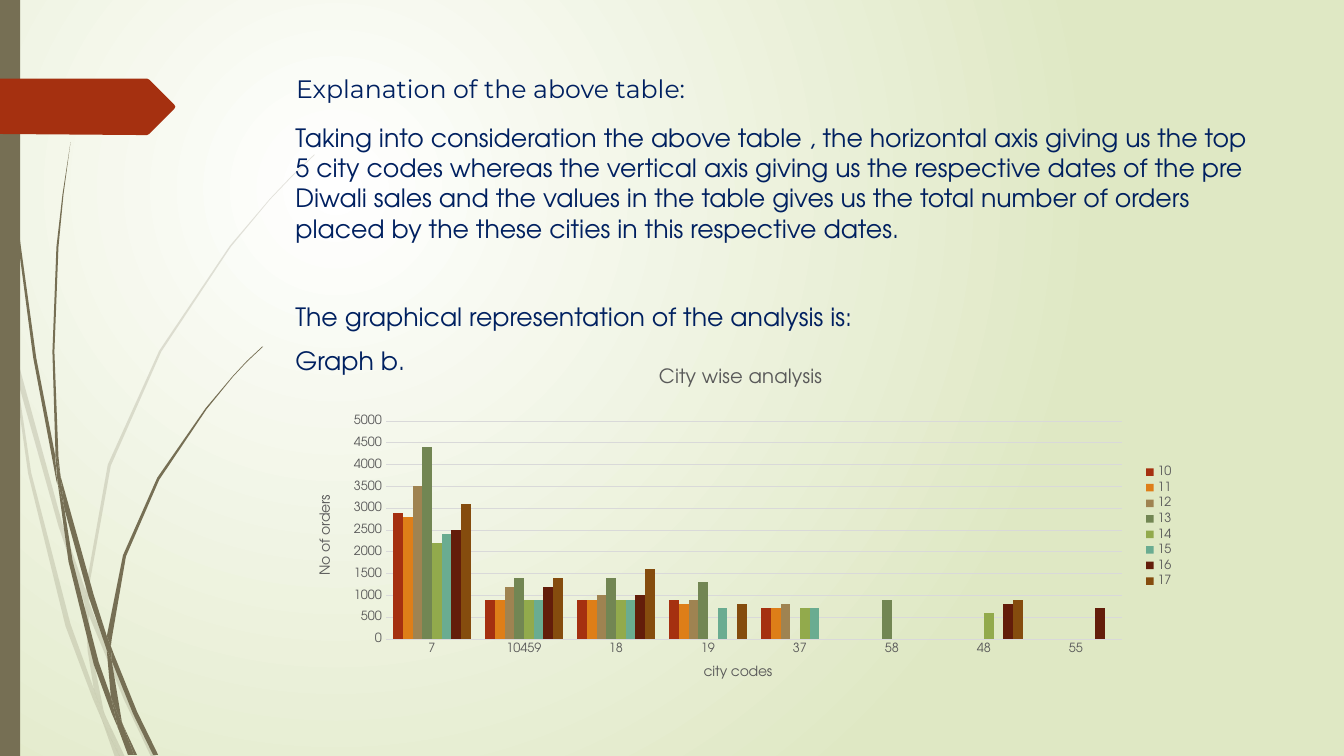
from lxml.etree import SubElement
from pptx import Presentation
from pptx.chart.data import CategoryChartData
from pptx.dml.color import RGBColor
from pptx.enum.chart import XL_CHART_TYPE, XL_LEGEND_POSITION, XL_TICK_MARK
from pptx.enum.shapes import MSO_SHAPE
from pptx.enum.text import MSO_ANCHOR, MSO_AUTO_SIZE, PP_ALIGN
from pptx.oxml import parse_xml
from pptx.oxml.ns import nsdecls, qn
from pptx.util import Cm, Pt

NAVY, TAUPE, RUST, GRAY = "002060", "766F54", "A53010", "595959"
SANS, HEAD = "TeX Gyre Adventor", "Montserrat"

TITLE = "Explanation of the above table:"
BODY = [
    ("Taking into consideration the above table , the horizontal axis giving us the top "
     "5 city codes whereas the vertical axis giving us the respective dates of the pre "
     "Diwali sales and the values in the table gives us the total number of orders "
     "placed by the these cities in this respective dates.", 10),
    ("The graphical representation of the analysis is:", 41.6),
    ("Graph b.", 10),
]

CITIES = ["7", "10459", "18", "19", "37", "58", "48", "55"]
ORDERS = [
    ("10", "A53010", [2900, 900, 900, 900, 700, None, None, None]),
    ("11", "DE7E18", [2800, 900, 900, 800, 700, None, None, None]),
    ("12", "9F8351", [3500, 1200, 1000, 900, 800, None, None, None]),
    ("13", "728653", [4400, 1400, 1400, 1300, None, 900, None, None]),
    ("14", "92AA4C", [2200, 900, 900, None, 700, None, 600, None]),
    ("15", "6AAC91", [2400, 900, 900, 700, 700, None, None, None]),
    ("16", "631D0A", [2500, 1200, 1000, None, None, None, 800, 700]),
    ("17", "854C0E", [3100, 1400, 1600, 800, None, None, 900, None]),
]

UNIT = Cm(0.0254)
PALE = [
    (11, 350, 9, 322, 0, 282, 0, 299, 10, 344),
    (58, 522, 84, 599, 85, 586, 62, 520, 14, 345, 17, 376),
    (92, 607, 88, 596, 88, 610, 123, 694, 150, 751, 155, 751, 127, 692),
    (119, 751, 124, 751, 105, 711),
    (93, 683, 70, 619, 31, 469, 17, 376, 11, 350, 28, 470, 65, 621, 92, 693, 101, 714,
     99, 707),
    (84, 599, 87, 646, 93, 683, 96, 692, 105, 711, 103, 706, 91, 646, 88, 610, 88, 608),
    (88, 584, 110, 462, 160, 349, 229, 245, 268, 198, 290, 175, 312, 154, 312, 153,
     289, 175, 268, 197, 228, 244, 158, 348, 107, 461, 85, 584, 85, 586, 88, 596),
    (101, 714, 114, 751, 119, 751),
    (88, 608, 88, 610, 88, 596, 85, 586, 84, 599),
    (96, 692, 93, 683, 99, 707, 101, 714, 119, 751, 105, 711),
]
DARK = [
    (7, 110, 17, 233, 33, 355, 56, 477, 57, 481, 55, 457, 55, 453, 36, 355, 19, 232,
     8, 109, 5, 48, 4, 0, 3, 0, 4, 48),
    (88, 592, 106, 645, 106, 633, 106, 631, 93, 590, 60, 472, 64, 505),
    (113, 649, 110, 641, 111, 656, 132, 708, 152, 749, 157, 749, 136, 706),
    (110, 691, 98, 657, 72, 556, 64, 505, 57, 477, 68, 557, 93, 659, 111, 708, 117, 722,
     116, 717),
    (60, 472, 58, 453, 54, 349, 58, 245, 63, 193, 70, 141, 62, 193, 56, 245, 52, 349,
     55, 449),
    (133, 749, 136, 749, 122, 719),
    (57, 477, 64, 505, 60, 472, 55, 449, 55, 453),
    (111, 633, 125, 552, 158, 476, 205, 406, 231, 374, 245, 359, 261, 344, 260, 344,
     245, 358, 231, 373, 204, 405, 156, 474, 122, 551, 106, 631, 110, 641),
    (117, 722, 127, 749, 131, 749),
    (106, 645, 110, 691, 116, 706, 122, 719, 121, 716, 111, 656, 109, 651),
    (106, 645, 109, 651, 111, 656, 110, 641, 106, 631, 106, 633),
    (116, 706, 110, 691, 116, 717, 117, 722, 130, 749, 133, 749, 122, 719),
]
TAG = (173, 108, 148, 133, 146, 134, 136, 134, 0, 133, 0, 78, 146, 78, 148, 79, 173, 104,
       174, 106)


def rgb(hue):
    return RGBColor.from_string(hue)


def place(item, left, top, width, height):
    item.left, item.top, item.width, item.height = map(Cm, (left, top, width, height))


def style(font, size, hue, face=SANS):
    font.size, font.name, font.bold = Pt(size), face, False
    font.color.rgb = rgb(hue)


def paint(shape, hue, alpha=None):
    shape.shadow.inherit = False
    shape.line.fill.background()
    shape.fill.solid()
    shape.fill.fore_color.rgb = rgb(hue)
    if alpha:
        tone = shape.element.spPr.find(qn("a:solidFill"))[0]
        SubElement(tone, qn("a:alpha"), val=str(alpha * 1000))


def trace(shapes, flat, hue, alpha=None):
    pts = list(zip(flat[::2], flat[1::2]))
    pen = shapes.build_freeform(*pts[0], scale=UNIT)
    pen.add_line_segments(pts[1:], close=True)
    paint(pen.convert_to_shape(), hue, alpha)


def backdrop(slide):
    fill = slide.background.fill
    fill.gradient()
    for stop, hue in zip(fill.gradient_stops, ("FFFFFF", "DFE8C4")):
        stop.color.rgb = rgb(hue)
    lin = slide.element.xpath(".//p:bg//a:lin")[0]
    lin.getparent().replace(lin, parse_xml(
        f'<a:path {nsdecls("a")} path="circle">'
        '<a:fillToRect l="50000" t="50000" r="100000" b="100000"/></a:path>'))


def decor(shapes):
    for strands, alpha in ((PALE, 20), (DARK, None)):
        group = shapes.add_group_shape()
        for flat in strands:
            trace(group.shapes, flat, TAUPE, alpha)
    bar = shapes.add_shape(MSO_SHAPE.RECTANGLE, 0, 0, Cm(0.51), Cm(19.05))
    paint(bar, TAUPE)
    trace(shapes, TAG, RUST)


def write(holder, lines, face):
    frame = holder.text_frame
    frame.word_wrap = True
    frame.auto_size = MSO_AUTO_SIZE.NONE
    frame.vertical_anchor = MSO_ANCHOR.TOP
    frame.text = "\n".join(text for text, gap in lines)
    for para, (text, gap) in zip(frame.paragraphs, lines):
        para.alignment = PP_ALIGN.LEFT
        para.space_before = Pt(gap)
        style(para.font, 18, NAVY, face)
        props = para._p.get_or_add_pPr()
        props.set("marL", "0")
        props.set("indent", "0")
        SubElement(props, qn("a:buNone"))
        props.insert_element_before(props.find(qn("a:buNone")), "a:defRPr")


def label(title, text, size):
    title.text_frame.text = text
    style(title.text_frame.paragraphs[0].font, size, GRAY)


def clear():
    return parse_xml(f'<c:spPr {nsdecls("c", "a")}><a:noFill/><a:ln><a:noFill/></a:ln></c:spPr>')


def graph(shapes):
    data = CategoryChartData()
    data.categories = CITIES
    for name, hue, vals in ORDERS:
        data.add_series(name, vals)
    area = map(Cm, (7.49, 8.84, 22.35, 8.86))
    chart = shapes.add_chart(XL_CHART_TYPE.COLUMN_CLUSTERED, *area, data).chart
    style(chart.font, 10, "000000")
    chart.has_title = True
    label(chart.chart_title, "City wise analysis", 14)
    chart.has_legend = True
    chart.legend.position = XL_LEGEND_POSITION.RIGHT
    chart.legend.include_in_layout = False
    style(chart.legend.font, 9, GRAY)
    plot = chart.plots[0]
    plot.gap_width, plot.overlap, plot.vary_by_categories = 150, 0, False
    for row, (name, hue, vals) in zip(plot.series, ORDERS):
        row.format.fill.solid()
        row.format.fill.fore_color.rgb = rgb(hue)
    axes = ((chart.category_axis, "city codes"), (chart.value_axis, "No of orders"))
    for axis, text in axes:
        axis.has_title = True
        label(axis.axis_title, text, 10)
        style(axis.tick_labels.font, 9, GRAY)
        axis.major_tick_mark = axis.minor_tick_mark = XL_TICK_MARK.NONE
        axis.format.line.fill.background()
    scale = chart.value_axis
    scale.minimum_scale, scale.maximum_scale, scale.major_unit = 0, 5000, 500
    grid = scale.major_gridlines.format.line
    grid.width = Pt(0.75)
    grid.color.rgb = rgb("D9D9D9")
    root = chart.element
    root.find(qn("c:txPr")).addprevious(clear())
    region = root.find(".//" + qn("c:plotArea"))
    region.append(clear())
    for old in region.findall(qn("c:layout")):
        region.remove(old)
    sides = "".join(f'<c:{key} val="{val}"/>' for key, val in (
        ("layoutTarget", "inner"), ("xMode", "edge"), ("yMode", "edge"),
        ("x", 0.1), ("y", 0.2), ("w", 0.83), ("h", 0.62)))
    region.insert(0, parse_xml(
        f'<c:layout {nsdecls("c")}><c:manualLayout>{sides}</c:manualLayout></c:layout>'))


def main():
    deck = Presentation()
    deck.slide_width, deck.slide_height = Cm(33.87), Cm(19.05)
    slide = deck.slides.add_slide(deck.slide_layouts[1])
    shapes = slide.shapes
    title, body = slide.placeholders
    backdrop(slide)
    decor(shapes)
    place(title, 7.21, 1.73, 24.77, 1.32)
    write(title, [(TITLE, 0)], HEAD)
    place(body, 7.19, 2.95, 24.77, 13.49)
    write(body, BODY, SANS)
    for holder in (title, body):
        shapes.element.append(holder.element)
    graph(shapes)
    deck.save("out.pptx")


if __name__ == "__main__":
    main()
